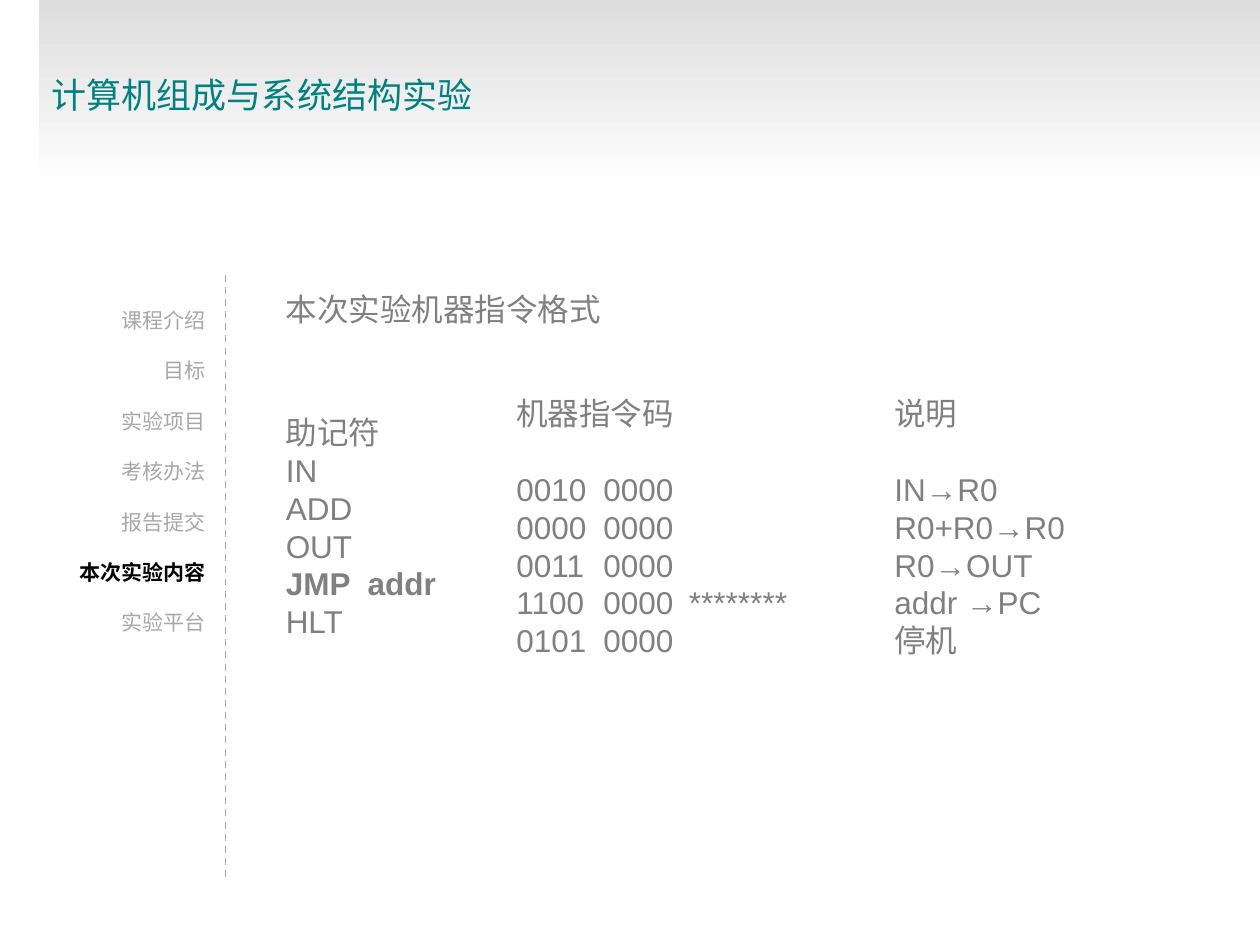
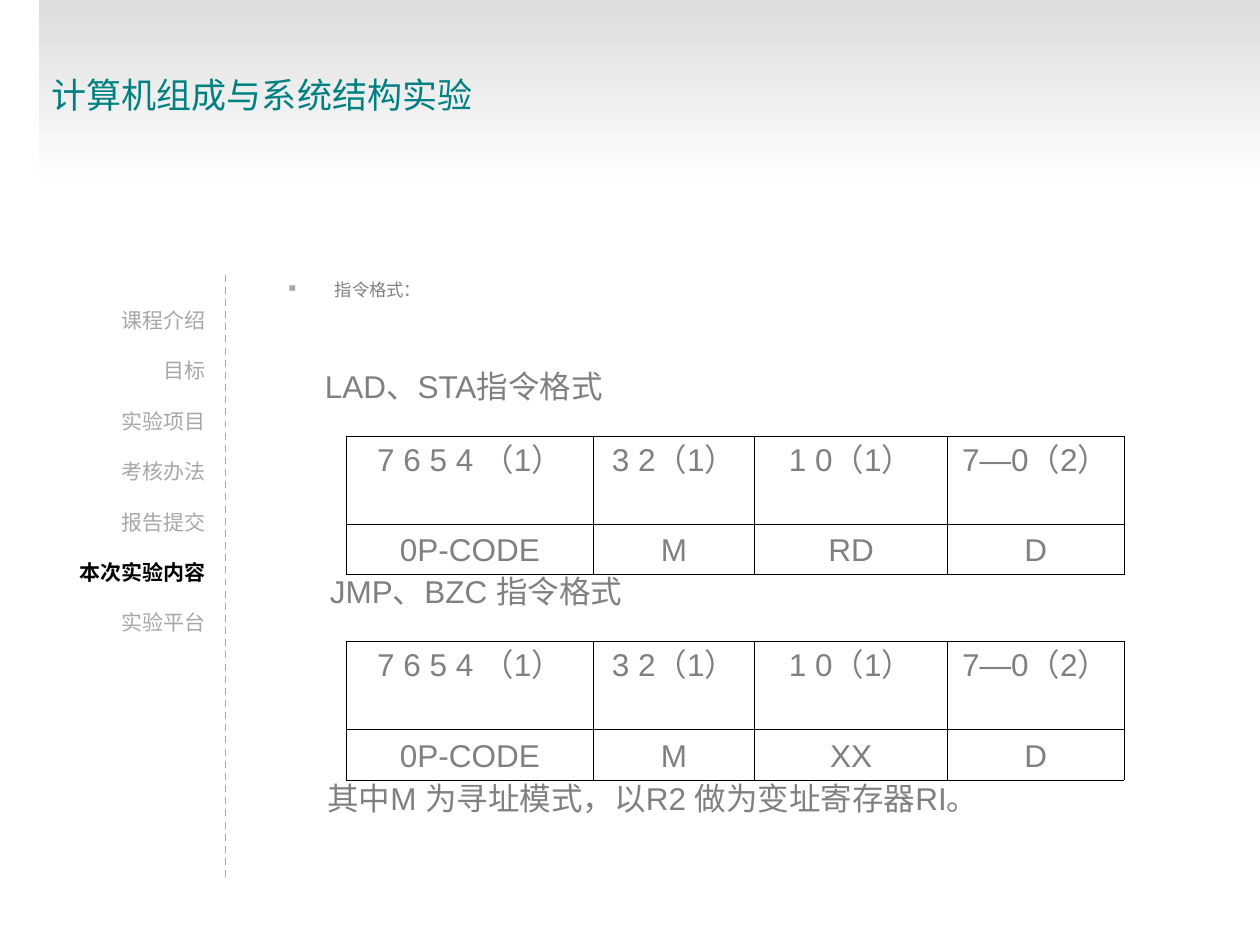
from pptx import Presentation
from pptx.dml.color import RGBColor
from pptx.enum.dml import MSO_LINE
from pptx.enum.shapes import MSO_CONNECTOR
from pptx.enum.text import MSO_ANCHOR, MSO_AUTO_SIZE, PP_ALIGN
from pptx.oxml.xmlchemy import OxmlElement
from pptx.util import Inches, Pt

# Square grid: 10 columns by 7.5 rows
COLS, ROWS = 10, 7.5
UNIT = Inches(10) // COLS

TEAL, GREY, LIGHT, BLACK = "008080", "808080", "A7A7A7", "000000"
BAND_TOP, BAND_END = "DDDDDD", "FFFFFF"
BODY_SIZE, NAV_SIZE, NOTE_SIZE = 18, 12, 9.9
LINE_RATIO = 1.2

COURSE = "计算机组成与系统结构实验"
CHAPTERS = ["课程介绍", "目标", "实验项目", "考核办法", "报告提交",
            "本次实验内容", "实验平台"]
CURRENT = "本次实验内容"
CONTENT_LEFT = 2.17

FIELD_COLS = [1.96, 1.28, 1.53, 1.4]
FIELD_ROWS = [0.7, 0.4]
FIELD_BITS = ["7 6 5 4 （1）", "3 2（1）", "1 0（1）", "7—0（2）"]


def grid(*cells):
    return [round(c * UNIT) for c in cells]


def rgb(hex_colour):
    return RGBColor.from_string(hex_colour)


def place(sp, cells):
    sp.left, sp.top, sp.width, sp.height = grid(*cells)


def child(parent, tag, **attrs):
    el = OxmlElement(tag)
    for name, value in attrs.items():
        el.set(name, str(value))
    parent.append(el)
    return el


def setup_frame(tf, anchor=MSO_ANCHOR.TOP, insets=(0.1, 0.05, 0.1, 0.05)):
    tf.word_wrap = True
    tf.auto_size = MSO_AUTO_SIZE.NONE
    tf.vertical_anchor = anchor
    (tf.margin_left, tf.margin_top,
     tf.margin_right, tf.margin_bottom) = grid(*insets)


def add_run(p, text, size=BODY_SIZE, colour=GREY, bold=False, font="Arial"):
    p.line_spacing = Pt(size * LINE_RATIO)
    r = p.add_run()
    r.text = text
    r.font.name, r.font.size, r.font.bold = font, Pt(size), bold
    r.font.color.rgb = rgb(colour)


def paragraphs(tf, count):
    return [tf.paragraphs[0]] + [tf.add_paragraph() for _ in range(count - 1)]


def set_bullet(p, char=None, colour=LIGHT, indent=0):
    pPr = p._p.get_or_add_pPr()
    pPr.set("marL", str(grid(indent)[0]))
    pPr.set("indent", str(-grid(indent)[0]))
    if char is None:
        child(pPr, "a:buNone")
    else:
        child(child(pPr, "a:buClr"), "a:srgbClr", val=colour)
        child(pPr, "a:buChar", char=char)


def set_tabs(p, stops):
    tabs = child(p._p.get_or_add_pPr(), "a:tabLst")
    for stop in grid(*stops):
        child(tabs, "a:tab", pos=stop, algn="l")


# Parts that every slide shares
def add_title_band(s):
    sp = s.shapes.title
    place(sp, (0.31, 0, COLS - 0.31, 1.5))
    sp.fill.gradient()
    sp.fill.gradient_angle = 270
    for stop, position, colour in zip(sp.fill.gradient_stops, (0, 1),
                                      (BAND_TOP, BAND_END)):
        stop.position = position
        stop.color.rgb = rgb(colour)
    setup_frame(sp.text_frame, MSO_ANCHOR.MIDDLE)
    p = sp.text_frame.paragraphs[0]
    p.alignment = PP_ALIGN.LEFT
    add_run(p, COURSE, 20, TEAL, font="Lato")


def add_divider(s):
    line = s.shapes.add_connector(MSO_CONNECTOR.STRAIGHT,
                                  *grid(1.79, 2.18, 1.79, 6.98))
    line.line.color.rgb = rgb(LIGHT)
    line.line.width = Pt(1)
    line.line.dash_style = MSO_LINE.DASH
    child(line._element.spPr, "a:effectLst")


def add_chapter_list(s):
    sp = s.placeholders[1]
    place(sp, (0.45, 2.44, 1.24, 2.64))
    tf = sp.text_frame
    setup_frame(tf, insets=(0.06, 0, 0.06, 0.04))
    for i, (p, chapter) in enumerate(zip(paragraphs(tf, len(CHAPTERS)), CHAPTERS)):
        set_bullet(p)
        p.alignment = PP_ALIGN.RIGHT
        p.space_before = Pt(NAV_SIZE * LINE_RATIO if i else 0)
        active = chapter == CURRENT
        add_run(p, chapter, NAV_SIZE, BLACK if active else LIGHT, active)


def add_course_slide(prs):
    s = prs.slides.add_slide(prs.slide_layouts[1])
    add_title_band(s)
    add_divider(s)
    add_chapter_list(s)
    return s


# Content elements
def add_text(s, cells, text, size=BODY_SIZE, anchor=MSO_ANCHOR.MIDDLE, bullet=None):
    tf = s.shapes.add_textbox(*grid(*cells)).text_frame
    setup_frame(tf, anchor)
    p = tf.paragraphs[0]
    if bullet:
        set_bullet(p, bullet, indent=0.39)
    add_run(p, text, size)


def add_column(s, cells, heading, entries, gap=0, tabs=(), bold=None):
    tf = s.shapes.add_textbox(*grid(*cells)).text_frame
    setup_frame(tf, MSO_ANCHOR.MIDDLE)
    lines = [heading] + entries
    for i, (p, text) in enumerate(zip(paragraphs(tf, len(lines)), lines)):
        if "\t" in text:
            set_tabs(p, tabs)
        if i == 1:
            p.space_before = Pt(gap * BODY_SIZE * LINE_RATIO)
        add_run(p, text, bold=text == bold)


def set_borders(cell, colour=BLACK, points=0.45):
    tcPr = cell._tc.get_or_add_tcPr()
    for i, side in enumerate(("a:lnL", "a:lnR", "a:lnT", "a:lnB")):
        ln = OxmlElement(side)
        ln.set("w", str(Pt(points)))
        child(child(ln, "a:solidFill"), "a:srgbClr", val=colour)
        tcPr.insert(i, ln)


def add_field_table(s, top, fields):
    rows = [FIELD_BITS, fields]
    frame = s.shapes.add_table(
        len(rows), len(fields),
        *grid(2.75, top, sum(FIELD_COLS), sum(FIELD_ROWS)))
    table = frame.table
    table.first_row = table.horz_banding = False
    for column, width in zip(table.columns, grid(*FIELD_COLS)):
        column.width = width
    for row, height, texts in zip(table.rows, grid(*FIELD_ROWS), rows):
        row.height = height
        for cell, text in zip(row.cells, texts):
            cell.fill.background()
            set_borders(cell)
            p = cell.text_frame.paragraphs[0]
            p.alignment = PP_ALIGN.CENTER
            add_run(p, text)


def build_instruction_slide(prs):
    s = add_course_slide(prs)
    add_text(s, (CONTENT_LEFT, 2.25, 2.92, 0.5), "本次实验机器指令格式",
             anchor=MSO_ANCHOR.TOP)
    add_column(s, (7, 3.08, 2.33, 2.2), "说明",
               ["IN→R0", "R0+R0→R0", "R0→OUT", "addr →PC", "停机"], gap=1)
    add_column(s, (4, 3.08, 3.33, 2.2), "机器指令码",
               ["0010\t0000", "0000\t0000", "0011\t0000",
                "1100\t0000\t********", "0101\t0000"],
               gap=1, tabs=(0.69, 1.37))
    add_column(s, (CONTENT_LEFT, 3.23, 2.17, 1.9), "助记符",
               ["IN", "ADD", "OUT", "JMP\taddr", "HLT"],
               tabs=(0.65,), bold="JMP\taddr")


def build_format_slide(prs):
    s = add_course_slide(prs)
    add_text(s, (CONTENT_LEFT, 2.17, 2.5, 0.5), "指令格式：", NOTE_SIZE,
             MSO_ANCHOR.TOP, bullet="▪")
    add_text(s, (2.48, 2.86, 4, 0.4), "LAD、STA指令格式")
    add_field_table(s, 3.46, ["0P-CODE", "M", "RD", "D"])
    add_text(s, (2.52, 4.49, 4, 0.4), "JMP、BZC 指令格式")
    add_field_table(s, 5.09, ["0P-CODE", "M", "XX", "D"])
    add_text(s, (2.5, 6.13, 6.5, 0.4), "其中M 为寻址模式，以R2 做为变址寄存器RI。")


def main():
    prs = Presentation()
    prs.slide_width, prs.slide_height = grid(COLS, ROWS)
    build_instruction_slide(prs)
    build_format_slide(prs)
    prs.save("out.pptx")


if __name__ == "__main__":
    main()
